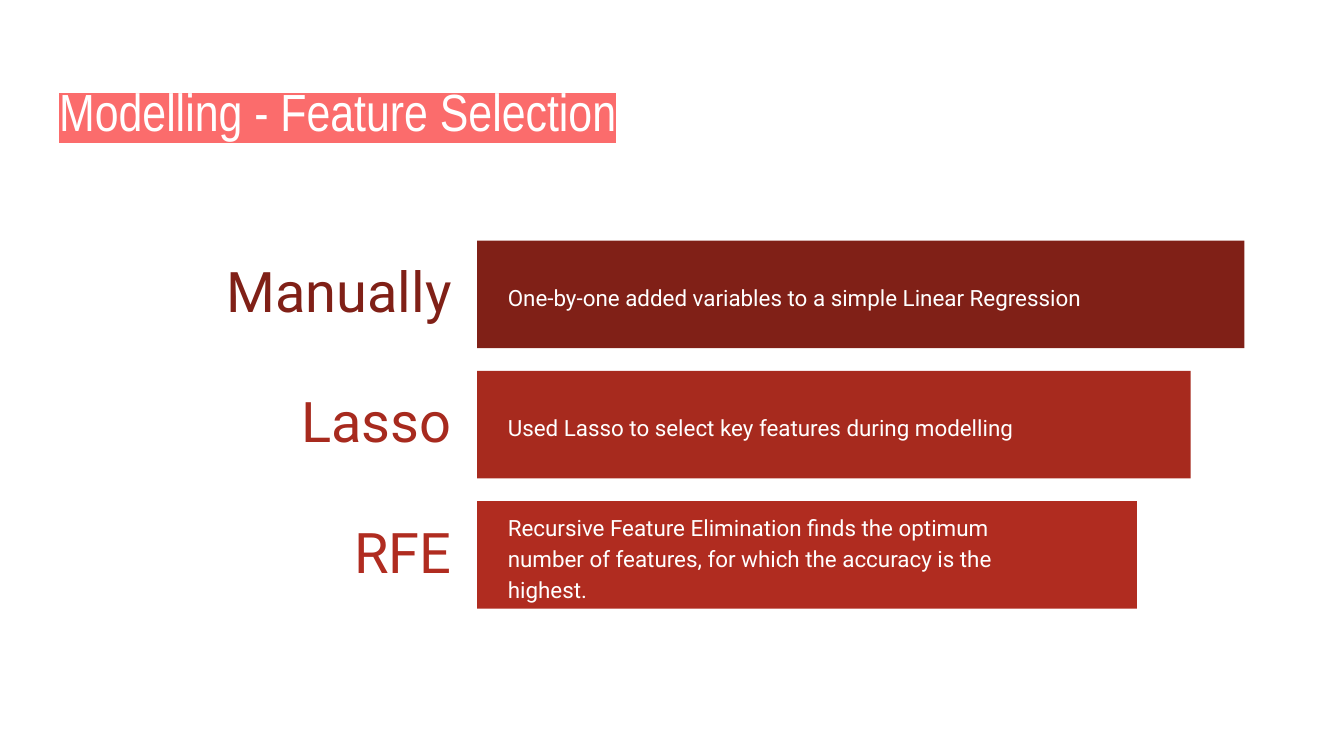
from lxml import etree
from pptx import Presentation
from pptx.dml.color import RGBColor
from pptx.enum import shapes, text
from pptx.oxml.ns import qn
from pptx.util import Inches, Pt

HUES = {
    "white": "FFFFFF",
    "coral": "FB6C6C",
    "dark": "802017",
    "mid": "A72A1E",
    "light": "B02C20",
}
# name, detail, colour, label width, detail width, detail height
STEPS = [
    ("Manually", "One-by-one added variables to a simple Linear Regression",
     "dark", 2.19, 5.21, 0.63),
    ("Lasso", "Used Lasso to select key features during modelling",
     "mid", 2.97, 4.78, 0.36),
    ("RFE", "Recursive Feature Elimination finds the optimum number of "
     "features, for which the accuracy is the highest.",
     "light", 2.14, 4.21, 0.36),
]
TOP, HEIGHT, GAP = 1.79, 0.8, 0.17
LEFT, WIDTH, SHRINK = 3.55, 5.71, 0.4
LABEL_END, LABEL_HIGH = 3.46, 0.69
DETAIL_LEFT, DETAIL_DROP = 3.68, 0.01


def color(name):
    return RGBColor.from_string(HUES[name])


def place(shape, left, top, width, height):
    shape.left, shape.top = Inches(left), Inches(top)
    shape.width, shape.height = Inches(width), Inches(height)


def write(frame, words, size, hue, font, align, anchor, inset):
    """Fill a text frame with one formatted run and return the run."""
    frame.word_wrap = True
    frame.auto_size = text.MSO_AUTO_SIZE.NONE
    frame.vertical_anchor = anchor
    frame.margin_left = frame.margin_right = Inches(0.1)
    frame.margin_top = frame.margin_bottom = Inches(inset)
    line = frame.paragraphs[0]
    line.alignment = align
    run = line.add_run()
    run.text = words
    run.font.size = Pt(size)
    run.font.name = font
    run.font.color.rgb = color(hue)
    return run


def mark(run, hue):
    """Highlight a run; the element must follow its solid fill."""
    glow = etree.Element(qn("a:highlight"))
    etree.SubElement(glow, qn("a:srgbClr"), val=HUES[hue])
    run._r.rPr.find(qn("a:solidFill")).addnext(glow)


def add_title(slide, words):
    title = slide.shapes.title
    place(title, 0.34, 0.49, 9.32, 0.63)
    run = write(title.text_frame, words, 28, "white", "Arial Narrow",
                text.PP_ALIGN.LEFT, text.MSO_ANCHOR.TOP, 0.1)
    mark(run, "coral")


def add_bar(group, top, width, hue):
    bar = group.shapes.add_shape(
        shapes.MSO_SHAPE.RECTANGLE, Inches(LEFT), Inches(top),
        Inches(width), Inches(HEIGHT))
    bar.shadow.inherit = False
    bar.fill.solid()
    bar.fill.fore_color.rgb = color(hue)
    bar.line.fill.background()


def add_text(group, words, left, mid, width, height, size, hue, align, space):
    """Add a text box centred on the height mid."""
    box = group.shapes.add_textbox(
        Inches(left), Inches(mid - height / 2), Inches(width), Inches(height))
    write(box.text_frame, words, size, hue, "Roboto", align,
          text.MSO_ANCHOR.MIDDLE, 0.05)
    box.text_frame.paragraphs[0].line_spacing = space


def add_step(slide, index, step):
    name, detail, hue, label_wide, detail_wide, detail_high = step
    top = TOP + index * (HEIGHT + GAP)
    mid = top + HEIGHT / 2
    group = slide.shapes.add_group_shape()
    add_text(group, name, LABEL_END - label_wide, mid, label_wide, LABEL_HIGH,
             30, hue, text.PP_ALIGN.RIGHT, 0.9)
    add_bar(group, top, WIDTH - index * SHRINK, hue)
    add_text(group, detail, DETAIL_LEFT, mid + DETAIL_DROP, detail_wide,
             detail_high, 12, "white", text.PP_ALIGN.LEFT, 1.15)


def main():
    deck = Presentation()
    deck.slide_width = Inches(10)
    deck.slide_height = deck.slide_width * 9 // 16
    slide = deck.slides.add_slide(deck.slide_layouts[5])
    add_title(slide, "Modelling - Feature Selection")
    for index, step in enumerate(STEPS):
        add_step(slide, index, step)
    deck.save("out.pptx")


if __name__ == "__main__":
    main()
